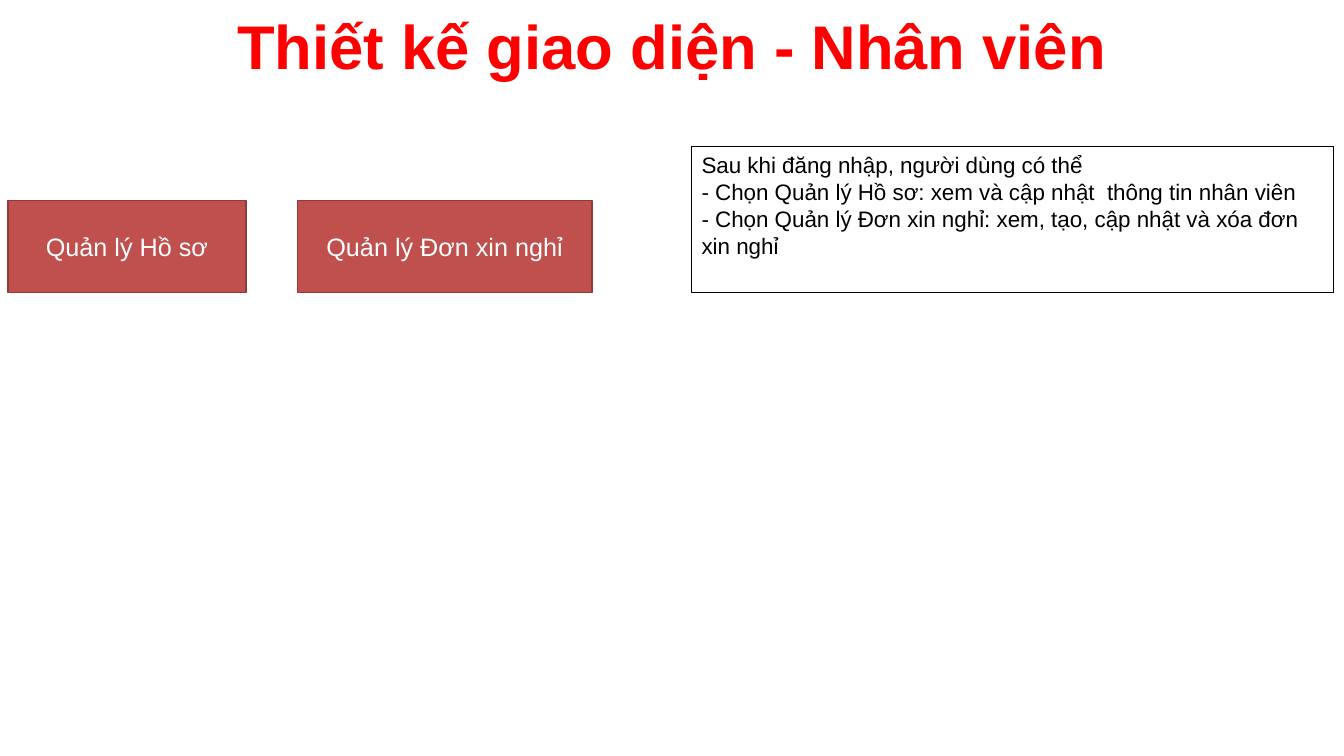
import pptx
import pptx.util
import pptx.dml.color
import pptx.enum.shapes
import pptx.enum.text
from dataclasses import dataclass

Inches = pptx.util.Inches
ALIGN = pptx.enum.text.PP_ALIGN
ANCHOR = pptx.enum.text.MSO_ANCHOR


@dataclass(frozen=True)
class Theme:
    font: str = "Arial"
    title: str = "FF0000"
    button: str = "C0504D"
    button_line: str = "8E3B39"
    button_text: str = "FFFFFF"
    ink: str = "000000"
    title_size: int = 44
    button_size: int = 18
    note_size: int = 16


THEME = Theme()


def rgb(value):
    return pptx.dml.color.RGBColor.from_string(value)


def write(tf, lines, size, color, align, anchor, bold=False):
    frame_format = {"word_wrap": True, "vertical_anchor": anchor,
                    "auto_size": pptx.enum.text.MSO_AUTO_SIZE.NONE}
    for name, value in frame_format.items():
        setattr(tf, name, value)
    run_format = {"name": THEME.font, "size": pptx.util.Pt(size), "bold": bold}
    for i, line in enumerate(lines):
        p = tf.paragraphs[0] if i == 0 else tf.add_paragraph()
        p.alignment = align
        r = p.add_run()
        r.text = line
        for name, value in run_format.items():
            setattr(r.font, name, value)
        r.font.color.rgb = rgb(color)


def add_box(s, box, line, width, fill=None):
    sp = s.shapes.add_shape(pptx.enum.shapes.MSO_SHAPE.RECTANGLE,
                            *(Inches(v) for v in box))
    sp.shadow.inherit = False
    if fill:
        sp.fill.solid()
        sp.fill.fore_color.rgb = rgb(fill)
    else:
        sp.fill.background()
    sp.line.color.rgb = rgb(line)
    sp.line.width = pptx.util.Pt(width)
    return sp


def add_title(s, box, text):
    sp = s.shapes.title
    for name, value in zip(("left", "top", "width", "height"), box):
        setattr(sp, name, Inches(value))
    write(sp.text_frame, [text], THEME.title_size, THEME.title,
          ALIGN.CENTER, ANCHOR.MIDDLE, bold=True)


def add_menu(s, box, buttons, gap):
    # Buttons run left to right, each with its own width
    left, top, _, height = box
    for label, width in buttons:
        sp = add_box(s, (left, top, width, height), THEME.button_line, 1, THEME.button)
        write(sp.text_frame, [label], THEME.button_size, THEME.button_text,
              ALIGN.CENTER, ANCHOR.MIDDLE)
        left += width + gap


def add_note(s, box, lines):
    sp = add_box(s, box, THEME.ink, 0.75)
    write(sp.text_frame, lines, THEME.note_size, THEME.ink, ALIGN.LEFT, ANCHOR.TOP)


def main():
    prs = pptx.Presentation()
    prs.slide_width, prs.slide_height = Inches(13.33), Inches(7.5)
    s = prs.slides.add_slide(prs.slide_layouts[5])

    # Title
    add_title(s, (0.67, -0.18, 12, 1.25), "Thiết kế giao diện - Nhân viên")

    # Menu buttons
    add_menu(s, (0.08, 1.99, 5.79, 0.91),
             [("Quản lý Hồ sơ", 2.36), ("Quản lý Đơn xin nghỉ", 2.92)], gap=0.51)

    # Usage note
    add_note(s, (6.86, 1.45, 6.37, 1.45), [
        "Sau khi đăng nhập, người dùng có thể",
        "- Chọn Quản lý Hồ sơ: xem và cập nhật  thông tin nhân viên",
        "- Chọn Quản lý Đơn xin nghỉ: xem, tạo, cập nhật và xóa đơn xin nghỉ",
    ])

    prs.save("out.pptx")


if __name__ == "__main__":
    main()
